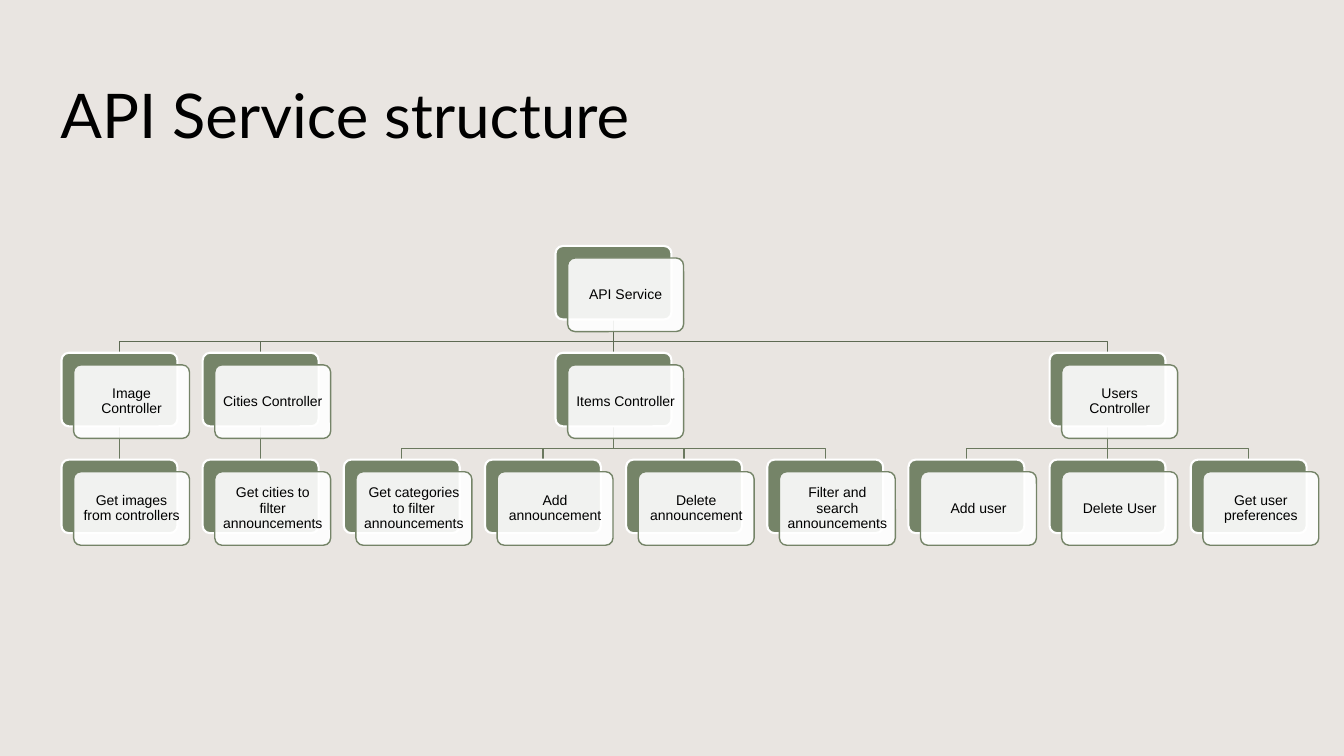
from lxml import etree
from pptx import Presentation
from pptx.dml.color import RGBColor
from pptx.enum.shapes import MSO_CONNECTOR, MSO_SHAPE
from pptx.enum.text import MSO_ANCHOR, PP_ALIGN
from pptx.oxml.ns import qn
from pptx.util import Inches, Pt

ROUND = MSO_SHAPE.ROUNDED_RECTANGLE
STRAIGHT = MSO_CONNECTOR.STRAIGHT
MIDDLE = MSO_ANCHOR.MIDDLE
LEFT, CENTER = PP_ALIGN.LEFT, PP_ALIGN.CENTER

SAND = RGBColor(0xE9, 0xE5, 0xE1)
GREEN = RGBColor(0x75, 0x84, 0x68)
DARK = RGBColor(0x5E, 0x6A, 0x53)
OLIVE = RGBColor(0x6A, 0x78, 0x5E)
WHITE = RGBColor(0xFF, 0xFF, 0xFF)
BLACK = RGBColor(0, 0, 0)

X0, Y0 = 0.61, 2.44
STEP_X, STEP_Y = 1.4, 1.06
CARD_W, CARD_H = 1.15, 0.73
SHIFT = 0.12
BEND = 0.22

TREE = ("API Service", [
    ("Image Controller", [("Get images from controllers", [])]),
    ("Cities Controller", [("Get cities to filter announcements", [])]),
    ("Items Controller", [
        ("Get categories to filter announcements", []),
        ("Add announcement", []),
        ("Delete announcement", []),
        ("Filter and search announcements", []),
    ]),
    ("Users Controller", [
        ("Add user", []),
        ("Delete User", []),
        ("Get user preferences", []),
    ]),
])


def style(run, font, size):
    run.font.name = font
    run.font.size = Pt(size)
    run.font.color.rgb = BLACK


def add_title(slide, text):
    title = slide.shapes.title
    title.left, title.top = Inches(0.5), Inches(0.4)
    title.width, title.height = Inches(11.92), Inches(1.45)
    frame = title.text_frame
    frame.text = text
    frame.vertical_anchor = MIDDLE
    frame.paragraphs[0].alignment = LEFT
    style(frame.paragraphs[0].runs[0], "Lato", 44)


def add_box(slide, left, top, fill, line, width):
    box = slide.shapes.add_shape(
        ROUND, Inches(left), Inches(top), Inches(CARD_W), Inches(CARD_H))
    box.adjustments[0] = 0.1
    box.shadow.inherit = False
    box.fill.solid()
    box.fill.fore_color.rgb = fill
    box.line.color.rgb = line
    box.line.width = Pt(width)
    return box


def add_card(slide, text, col, row):
    left, top = X0 + col * STEP_X, Y0 + row * STEP_Y
    back = add_box(slide, left, top, GREEN, WHITE, 1.5)
    front = add_box(slide, left + SHIFT, top + SHIFT, WHITE, GREEN, 1)
    color = front.element.spPr.find(qn("a:solidFill"))[0]
    etree.SubElement(color, qn("a:alpha"), val="90000")
    frame = front.text_frame
    frame.word_wrap = True
    frame.vertical_anchor = MIDDLE
    frame.margin_left = frame.margin_right = Inches(0.06)
    frame.margin_top = frame.margin_bottom = Inches(0.06)
    frame.text = text
    para = frame.paragraphs[0]
    para.alignment = CENTER
    para.line_spacing = 0.9
    style(para.runs[0], "Arial", 10)
    return back


def add_link(slide, upper, lower, color):
    x1, y1 = upper.left + upper.width // 2, upper.top + upper.height
    x2, y2 = lower.left + lower.width // 2, lower.top
    if abs(x1 - x2) < Inches(0.01):
        link = slide.shapes.add_connector(STRAIGHT, x1, y1, x2, y2)
        link.begin_connect(upper, 2)
        link.end_connect(lower, 0)
        etree.SubElement(link.element.spPr, qn("a:effectLst"))
    else:
        turn = y1 + Inches(BEND)
        path = slide.shapes.build_freeform(x1, y1)
        path.add_line_segments([(x1, turn), (x2, turn), (x2, y2)], close=False)
        link = path.convert_to_shape()
        link.fill.background()
        link.shadow.inherit = False
    link.line.color.rgb = color
    link.line.width = Pt(1)
    slide.shapes.title.element.addnext(link.element)


def add_tree(slide, node, first=0, row=0):
    text, kids = node
    cards, cols, free = [], [], first
    for kid in kids:
        card, col, free = add_tree(slide, kid, free, row + 1)
        cards.append(card)
        cols.append(col)
    col = (cols[0] + cols[-1]) / 2 if kids else first
    back = add_card(slide, text, col, row)
    for card in cards:
        add_link(slide, back, card, OLIVE if row else DARK)
    return back, col, max(free, first + 1)


def main():
    deck = Presentation()
    deck.slide_width, deck.slide_height = Inches(13.33), Inches(7.5)
    slide = deck.slides.add_slide(deck.slide_layouts[5])
    slide.background.fill.solid()
    slide.background.fill.fore_color.rgb = SAND
    add_title(slide, "API Service structure")
    add_tree(slide, TREE)
    deck.save("out.pptx")


if __name__ == "__main__":
    main()
